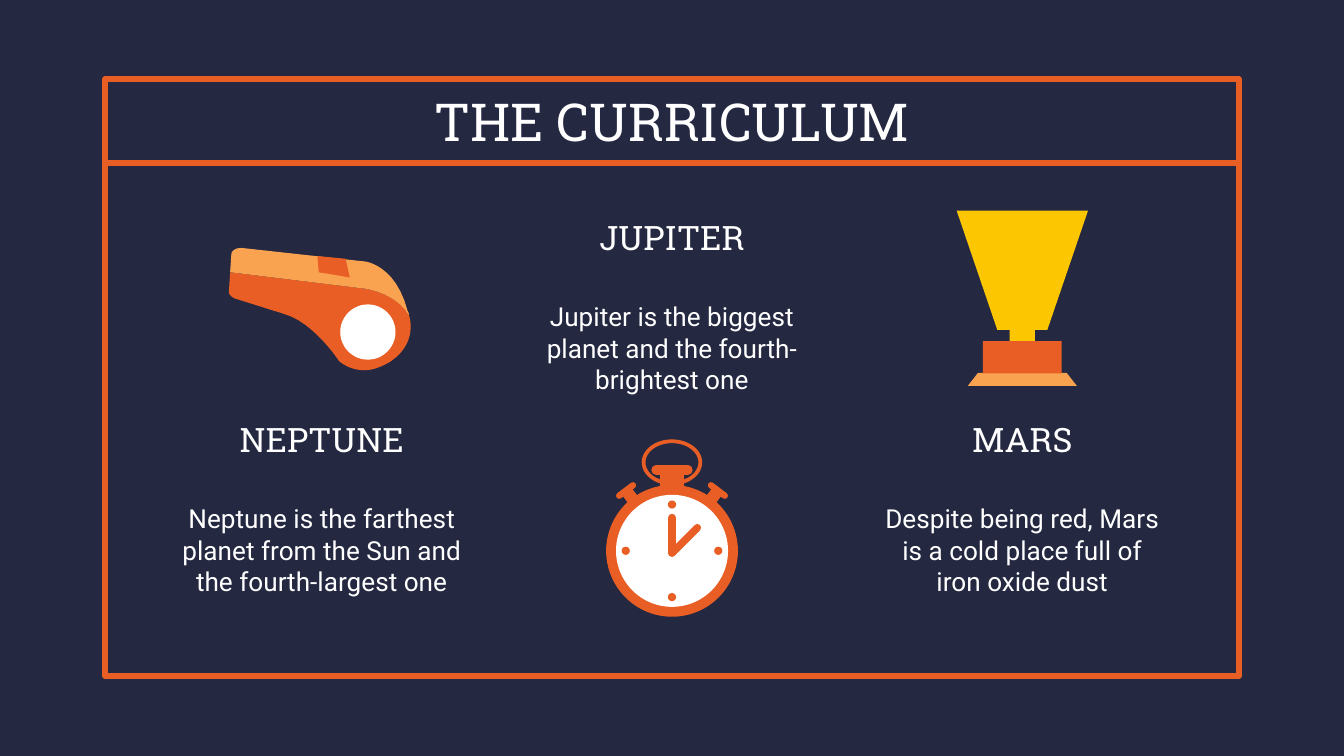
from dataclasses import dataclass

from lxml import etree
from pptx import Presentation
from pptx.dml.color import RGBColor
from pptx.enum.shapes import MSO_CONNECTOR, MSO_SHAPE
from pptx.enum.text import MSO_ANCHOR, PP_ALIGN
from pptx.oxml.ns import qn
from pptx.util import Pt

RECT, OVAL = MSO_SHAPE.RECTANGLE, MSO_SHAPE.OVAL
STRAIGHT = MSO_CONNECTOR.STRAIGHT
MIDDLE, CENTER = MSO_ANCHOR.MIDDLE, PP_ALIGN.CENTER


@dataclass(frozen=True)
class Theme:
    navy: str = "242841"
    orange: str = "E95E24"
    peach: str = "F9A350"
    yellow: str = "FCC600"
    white: str = "FFFFFF"
    serif: str = "Roboto Slab"
    sans: str = "Roboto"
    title: int = 28
    heading: int = 18
    body: int = 14
    rule: int = 3


T = Theme()


def rgb(color):
    return RGBColor.from_string(color)


def paint(sp, color):
    sp.shadow.inherit = False
    sp.fill.solid()
    sp.fill.fore_color.rgb = rgb(color)
    sp.line.fill.background()


def add_solid(shapes, kind, x, y, w, h, color):
    sp = shapes.add_shape(kind, Pt(x), Pt(y), Pt(w), Pt(h))
    paint(sp, color)


def add_outline(shapes, kind, x, y, w, h, width):
    sp = shapes.add_shape(kind, Pt(x), Pt(y), Pt(w), Pt(h))
    sp.shadow.inherit = False
    sp.fill.background()
    sp.line.color.rgb = rgb(T.orange)
    sp.line.width = Pt(width)
    etree.SubElement(sp.line._get_or_add_ln(), qn("a:round"))


def add_disc(shapes, cx, cy, radius, color):
    add_solid(shapes, OVAL, cx - radius, cy - radius, 2 * radius, 2 * radius, color)


def add_line(shapes, x1, y1, x2, y2, width, cap="flat"):
    line = shapes.add_connector(STRAIGHT, Pt(x1), Pt(y1), Pt(x2), Pt(y2))
    line.line.color.rgb = rgb(T.orange)
    line.line.width = Pt(width)
    line.line._get_or_add_ln().set("cap", cap)
    etree.SubElement(line._element.spPr, qn("a:effectLst"))


def flatten(path, steps=12):
    """Turn points (2 numbers) and Bezier curves (6 numbers) into points."""
    points = [path[0]]
    for part in path[1:]:
        if len(part) == 2:
            points.append(part)
            continue
        knots = [points[-1], part[:2], part[2:4], part[4:]]
        for i in range(1, steps + 1):
            t = i / steps
            weights = ((1 - t) ** 3, 3 * t * (1 - t) ** 2, 3 * t * t * (1 - t), t ** 3)
            points.append(tuple(sum(k * q[axis] for k, q in zip(weights, knots))
                                for axis in (0, 1)))
    return points


def add_outline_fill(shapes, x, y, path, color):
    points = [((x + px) * 100, (y + py) * 100) for px, py in flatten(path)]
    builder = shapes.build_freeform(*points[0], scale=Pt(1) / 100)
    builder.add_line_segments(points[1:], close=True)
    paint(builder.convert_to_shape(), color)


def add_text(shapes, box, text, font, size, space_after=0):
    tf = shapes.add_textbox(*map(Pt, box)).text_frame
    tf.word_wrap = True
    tf.vertical_anchor = MIDDLE
    tf.margin_left = tf.margin_right = tf.margin_top = tf.margin_bottom = Pt(7.2)
    tf.text = text
    for p in tf.paragraphs:
        p.alignment = CENTER
        p.space_after = Pt(space_after)
        for r in p.runs:
            r.font.name = font
            r.font.size = Pt(size)
            r.font.color.rgb = rgb(T.white)


def add_panel(shapes, box, title):
    x, y, w, h = box
    bar = 44.8
    add_outline(shapes, RECT, x, y, w, h, T.rule)
    add_line(shapes, x + 1.4, y + bar, x + w - 1.4, y + bar, T.rule)
    add_text(shapes, (x, y, w, bar), title, T.serif, T.title)


def add_topic(shapes, box, heading, body):
    x, y, w, h = box
    head = h / 3
    add_text(shapes, (x, y + head, w, h - head), body, T.sans, T.body)
    add_text(shapes, (x, y, w, head), heading, T.serif, T.heading, space_after=12)


def add_stopwatch(shapes, box):
    x, y, w, h = box
    g = shapes.add_group_shape().shapes
    radius = w / 2
    cx, cy = x + radius, y + h - radius
    add_outline(g, OVAL, cx - 15.2, y + 1, 30.4, 22.6, 2)
    add_solid(g, RECT, cx - 6.5, y + 16, 13, 12, T.orange)
    add_line(g, cx - 8.5, y + 16.3, cx + 8.5, y + 16.3, 5.2, "rnd")
    for side in (-1, 1):
        add_line(g, cx + side * 28.3, y + 30.2, cx + side * 20.9, y + 24.6, 3.4, "rnd")
        add_line(g, cx + side * 24.6, y + 27.4, cx + side * 19, y + 34.8, 6.4)
    add_disc(g, cx, cy, radius, T.orange)
    add_disc(g, cx, cy, 30, T.white)
    for dx, dy in ((0, -1), (0, 1), (-1, 0), (1, 0)):
        add_disc(g, cx + dx * 24.8, cy + dy * 24.8, 2.2, T.orange)
    for dx, dy in ((0, -17.8), (13.6, -12.4)):
        add_line(g, cx, cy + 1.2, cx + dx, cy + dy, 4, "rnd")


def add_trophy(shapes, box):
    x, y, w, h = box
    g = shapes.add_group_shape().shapes
    cx = x + w / 2
    bowl = [(w / 2, 0), (13.4, 64), (6.8, 64), (6.8, 70)]
    foot = [(23.8, 87), (29.2, h)]
    for half, color in ((bowl, T.yellow), (foot, T.peach)):
        mirrored = [(-px, py) for px, py in reversed(half)]
        add_outline_fill(g, cx, y, half + mirrored, color)
    add_solid(g, RECT, cx - 21.1, y + 70, 42.2, 17.2, T.orange)


def add_whistle(shapes, x, y):
    g = shapes.add_group_shape().shapes
    body = [(0.7, 13), (0, 23.8), (0.7, 26.6, 4.3, 27.4, 4.3, 27.4), (29.5, 35.3),
            (45.4, 39.6, 59, 60.5, 59, 60.5), (59, 60.5, 64.1, 65.5, 72.7, 65.5),
            (76.3, 65.5, 81.4, 64.1, 87.1, 60.5), (99.4, 51.8, 97.9, 40.3, 96.5, 36),
            (88.6, 23, 71.3, 21.6, 71.3, 21.6)]
    top = [(6.5, 0), (2.2, 0, 1.4, 2.9, 1.4, 2.9), (0.7, 13), (71.3, 21.6),
           (71.3, 21.6, 88.6, 23, 96.5, 36), (96.5, 34.6, 95.8, 33.8, 95.8, 33.8),
           (89.3, 8.6, 72.7, 7.2, 72.7, 7.2), (7.2, 0)]
    slot = [(47.5, 4.3), (48.2, 13), (56.9, 14.4), (64.8, 15.8), (62.6, 5.8)]
    for path, color in ((body, T.orange), (top, T.peach), (slot, T.orange)):
        add_outline_fill(g, x, y, path, color)
    add_disc(g, x + 74.5, y + 45, 14.8, T.white)


def build_slide(prs):
    s = prs.slides.add_slide(prs.slide_layouts[6])
    s.background.fill.solid()
    s.background.fill.fore_color.rgb = rgb(T.navy)
    add_panel(s.shapes, (56.2, 42.4, 607.6, 319.8), "THE CURRICULUM")
    topics = [
        (215.3, "NEPTUNE",
         "Neptune is the farthest planet from the Sun and the fourth-largest one"),
        (107.1, "JUPITER",
         "Jupiter is the biggest\nplanet and the fourth-brightest one"),
        (215.3, "MARS",
         "Despite being red, Mars is a cold place full of iron oxide dust"),
    ]
    for column, (top, heading, body) in enumerate(topics):
        box = (87.8 + 187.6 * column, top, 169.2, 118.8)
        add_topic(s.shapes, box, heading, body)
    add_stopwatch(s.shapes, (324.7, 235.4, 70.6, 95))
    add_trophy(s.shapes, (512.5, 112.8, 70.4, 93.9))
    add_whistle(s.shapes, 122.6, 132.9)


def main():
    prs = Presentation()
    prs.slide_width, prs.slide_height = Pt(720), Pt(405)
    build_slide(prs)
    prs.save("out.pptx")


if __name__ == "__main__":
    main()
